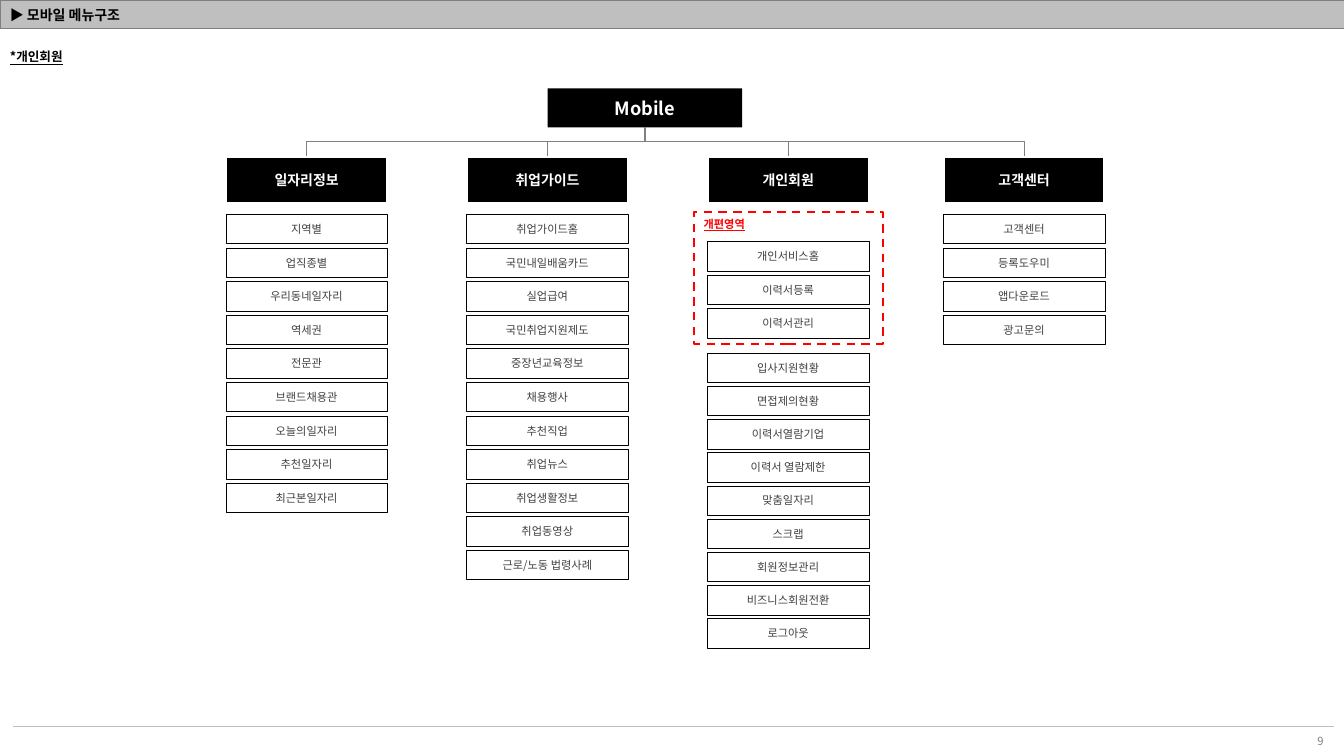
from dataclasses import dataclass

import lxml.etree
import pptx
import pptx.dml.color
import pptx.enum.dml
import pptx.enum.shapes
import pptx.enum.text
import pptx.oxml.ns
import pptx.util

Pt = pptx.util.Pt
qn = pptx.oxml.ns.qn
RECT = pptx.enum.shapes.MSO_SHAPE.RECTANGLE
LINK = pptx.enum.shapes.MSO_CONNECTOR
ALIGN = pptx.enum.text.PP_ALIGN
ANCHOR = pptx.enum.text.MSO_ANCHOR
FIT = pptx.enum.text.MSO_AUTO_SIZE


@dataclass(frozen=True)
class Theme:
    font: str = "Noto Sans CJK KR"
    black: str = "000000"
    white: str = "FFFFFF"
    dark: str = "404040"
    gray: str = "808080"
    light: str = "BFBFBF"
    red: str = "FF0000"
    root: int = 13
    head: int = 10
    sub: int = 9
    body: int = 8


T = Theme()

# Each menu: title, centre line, then groups of (top, pitch, items)
MENUS = [
    ("일자리정보", 219, [(153, 24, [
        "지역별", "업직종별", "우리동네일자리", "역세권", "전문관",
        "브랜드채용관", "오늘의일자리", "추천일자리", "최근본일자리"])]),
    ("취업가이드", 391, [(153, 24, [
        "취업가이드홈", "국민내일배움카드", "실업급여", "국민취업지원제도",
        "중장년교육정보", "채용행사", "추천직업", "취업뉴스",
        "취업생활정보", "취업동영상", "근로/노동 법령사례"])]),
    ("개인회원", 563, [
        (172.4, 24, ["개인서비스홈", "이력서등록", "이력서관리"]),
        (252.2, 23.7, [
            "입사지원현황", "면접제의현황", "이력서열람기업",
            "이력서 열람제한", "맞춤일자리", "스크랩", "회원정보관리",
            "비즈니스회원전환", "로그아웃"])]),
    ("고객센터", 731.5, [(153, 24, [
        "고객센터", "등록도우미", "앱다운로드", "광고문의"])]),
]


def rgb(code):
    return pptx.dml.color.RGBColor.from_string(code)


def write(shape, text, size=T.body, color=T.black, bold=False, line=False,
          align=ALIGN.LEFT, anchor=ANCHOR.TOP, wrap=True):
    frame = shape.text_frame
    frame.word_wrap = wrap
    frame.vertical_anchor = anchor
    if not wrap:
        frame.auto_size = FIT.SHAPE_TO_FIT_TEXT
    para = frame.paragraphs[0]
    para.alignment = align
    run = para.add_run()
    run.text = text
    font = run.font
    font.name, font.size, font.bold = T.font, Pt(size), bold
    font.underline = line
    font.color.rgb = rgb(color)
    east = lxml.etree.SubElement(run._r.get_or_add_rPr(), qn("a:ea"))
    east.set("typeface", T.font)


def label(slide, box, text, **style):
    write(slide.shapes.add_textbox(*map(Pt, box)), text, **style)


def block(slide, box, text="", fill=None, edge=None, width=0.25, **style):
    shape = slide.shapes.add_shape(RECT, *map(Pt, box))
    shape.shadow.inherit = False
    if fill:
        shape.fill.solid()
        shape.fill.fore_color.rgb = rgb(fill)
    else:
        shape.fill.background()
    if edge:
        shape.line.color.rgb = rgb(edge)
        shape.line.width = Pt(width)
    else:
        shape.line.fill.background()
    if text:
        write(shape, text, align=ALIGN.CENTER, anchor=ANCHOR.MIDDLE, **style)
    return shape


def wire(slide, kind, ends, color):
    link = slide.shapes.add_connector(kind, *map(Pt, ends))
    link.line.color.rgb = rgb(color)
    link.line.width = Pt(0.75)
    lxml.etree.SubElement(link._element.spPr, qn("a:effectLst"))
    return link


def branch(slide, top, low):
    """Elbow that leaves the bottom of one box and enters the top of another."""
    x1, y1 = top.left + top.width // 2, top.top + top.height
    x2, y2 = low.left + low.width // 2, low.top
    link = wire(slide, LINK.ELBOW, (0, 0, 1, 1), T.gray)
    link.begin_connect(top, 2)
    link.end_connect(low, 0)
    # The elbow runs sideways by default, so turn it a quarter
    drop, span = y2 - y1, abs(x2 - x1)
    link.left, link.top = (x1 + x2 - drop) // 2, (y1 + y2 - span) // 2
    link.width, link.height = drop, span
    right = x2 > x1
    turn = link._element.spPr.find(qn("a:xfrm"))
    turn.set("rot", str((270 if right else 90) * 60000))
    turn.set("flipH", "1" if right else "0")


def header(slide, box):
    x, y, w, h = box
    # Gray band
    grid = slide.shapes.add_table(1, 1, *map(Pt, box)).table
    grid.first_row = grid.horz_banding = False
    cell = grid.cell(0, 0)
    cell.margin_top = cell.margin_bottom = 0
    para = cell.text_frame.paragraphs[0]._p
    lxml.etree.SubElement(para, qn("a:endParaRPr")).set("sz", str(T.body * 100))
    props = cell._tc.get_or_add_tcPr()
    for side in ("a:lnL", "a:lnR", "a:lnT", "a:lnB"):
        edge = lxml.etree.SubElement(props, qn(side), w=str(Pt(0.25)))
        fill = lxml.etree.SubElement(edge, qn("a:solidFill"))
        lxml.etree.SubElement(fill, qn("a:srgbClr"), val=T.gray)
    cell.fill.solid()
    cell.fill.fore_color.rgb = rgb(T.light)
    # Title and member type
    label(slide, (x, y, 714, h + 0.5), "▶ 모바일 메뉴구조", size=T.head,
          bold=True, anchor=ANCHOR.MIDDLE)
    label(slide, (x, y + 31.7, 55, 18), "*개인회원", size=T.sub, bold=True,
          line=True, wrap=False)


def footer(slide, box):
    x, y, w, h = box
    wire(slide, LINK.STRAIGHT, (x, y, x + w, y), T.light)
    label(slide, (x + w - 34, y + 2, 34, 15), "9", color=T.gray,
          align=ALIGN.RIGHT)


def menu(slide, box, title, groups):
    x, y, w, h = box
    head = block(slide, box, title, fill=T.black, edge=T.white, width=2,
                 size=T.head, color=T.white, bold=True)
    for top, pitch, items in groups:
        for i, item in enumerate(items):
            block(slide, (x, top + i * pitch, w, 21), item, edge=T.black,
                  color=T.dark)
    return head


def zone(slide, box):
    x, y, w, h = box
    frame = block(slide, box, edge=T.red, width=1.5)
    frame.line.dash_style = pptx.enum.dml.MSO_LINE.DASH
    label(slide, (x - 0.5, y + 0.5, 47, 17), "개편영역", color=T.red,
          bold=True, line=True, wrap=False)


def tree(slide, box):
    x, y, w, h = box
    root = block(slide, box, "Mobile", fill=T.black, size=T.root,
                 color=T.white, bold=True)
    heads = [menu(slide, (mid - 57.7, y + 48.5, 115.4, 33.6), title, groups)
             for title, mid, groups in MENUS]
    zone(slide, (496, 151.3, 134.6, 94.3))
    for head in heads:
        branch(slide, root, head)


def main():
    deck = pptx.Presentation()
    deck.slide_width, deck.slide_height = Pt(960), Pt(540)
    slide = deck.slides.add_slide(deck.slide_layouts[6])
    header(slide, (0, 0, 960, 20.4))
    footer(slide, (9.4, 519.2, 943.2, 17))
    tree(slide, (391.2, 63.1, 139, 27.9))
    deck.save("out.pptx")


if __name__ == "__main__":
    main()
